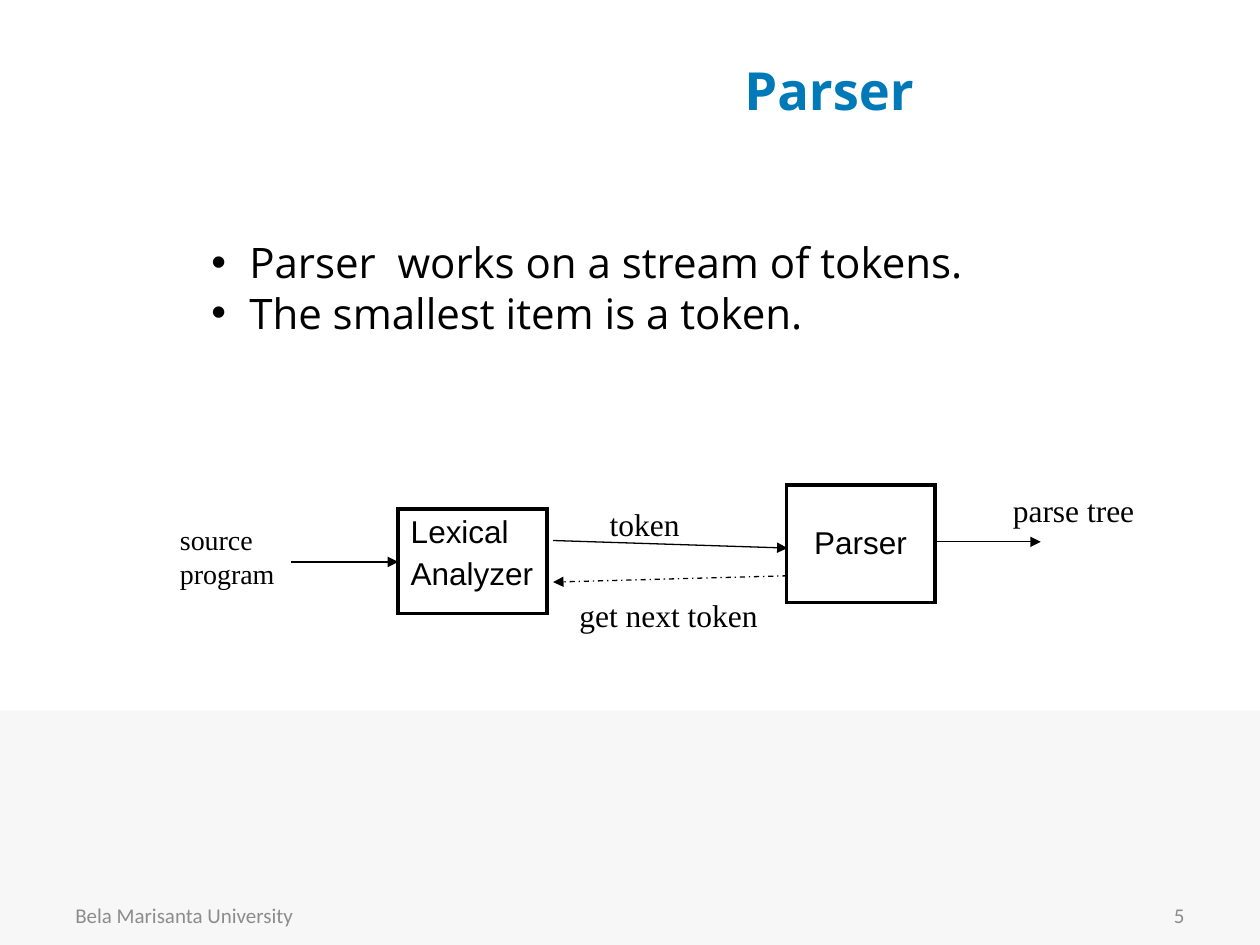
from pptx import Presentation
from pptx.dml.color import RGBColor
from pptx.enum.dml import MSO_LINE_DASH_STYLE as Dash
from pptx.enum.shapes import MSO_CONNECTOR as Connector, MSO_SHAPE as Shape
from pptx.enum.text import MSO_ANCHOR as Anchor, PP_ALIGN as Align
from pptx.oxml.ns import qn
from pptx.util import Inches, Pt
from lxml.etree import SubElement

BLACK = RGBColor(0, 0, 0)
BLUE = RGBColor(0x00, 0x79, 0xB8)
GRAY = RGBColor(0x8C, 0x8C, 0x8C)
PALE = RGBColor(0xF7, 0xF7, 0xF7)
SERIF = "Times New Roman"


def write_text(frame, text, font=SERIF, size=18, color=BLACK, bold=False,
               align=Align.LEFT, anchor=Anchor.TOP, before=0, bullet=None):
    """Fill a text frame with one formatted paragraph per line."""
    frame.vertical_anchor = anchor
    for index, line in enumerate(text.split("\n")):
        paragraph = frame.add_paragraph() if index else frame.paragraphs[0]
        paragraph.alignment = align
        paragraph.space_before = Pt(before)
        run = paragraph.add_run()
        run.text = line
        run.font.name, run.font.size, run.font.bold = font, Pt(size), bold
        run.font.color.rgb = color
        if bullet:
            properties = paragraph._p.get_or_add_pPr()
            properties.set("marL", str(Inches(0.3)))
            properties.set("indent", str(-Inches(0.3)))
            SubElement(properties, qn("a:buFont"), typeface="Arial")
            SubElement(properties, qn("a:buChar"), char=bullet)


def add_label(slide, text, left, top, width, height=0.4, wrap=False, **style):
    """Add a text box."""
    box = slide.shapes.add_textbox(*map(Inches, (left, top, width, height)))
    box.text_frame.word_wrap = wrap
    write_text(box.text_frame, text, **style)


def add_stage(slide, text, left, top, height, **style):
    """Add a bordered one-cell table for a compiler stage."""
    table = slide.shapes.add_table(
        1, 1, *map(Inches, (left, top, 1.18, height))).table
    table.first_row = table.horz_banding = False
    cell = table.cell(0, 0)
    write_text(cell.text_frame, text, font="Arial", **style)
    cell.vertical_anchor = style.get("anchor", Anchor.TOP)
    properties = cell._tc.get_or_add_tcPr()
    for side in ("lnL", "lnR", "lnT", "lnB"):
        border = SubElement(properties, qn(f"a:{side}"), w=str(Pt(2.25)))
        fill = SubElement(border, qn("a:solidFill"))
        SubElement(fill, qn("a:srgbClr"), val=str(BLACK))
    cell.fill.background()


def add_arrow(slide, start, end, dash=None):
    """Add a thin line with an arrowhead at its end."""
    arrow = slide.shapes.add_connector(
        Connector.STRAIGHT, *map(Inches, (*start, *end)))
    arrow.line.color.rgb = BLACK
    arrow.line.width = Pt(0.75)
    if dash:
        arrow.line.dash_style = dash
    SubElement(arrow.line._get_or_add_ln(), qn("a:tailEnd"), type="triangle")
    SubElement(arrow._element.spPr, qn("a:effectLst"))


def add_band(slide):
    """Add the pale band at the foot of the slide."""
    band = slide.shapes.add_shape(
        Shape.RECTANGLE, *map(Inches, (0, 5.64, 10, 1.86)))
    band.shadow.inherit = False
    band.fill.solid()
    band.fill.fore_color.rgb = PALE
    band.line.fill.background()


def add_title(slide, text):
    """Place and format the title."""
    title = slide.shapes.title
    title.left, title.top, title.width, title.height = map(
        Inches, (3.33, 0.17, 6.5, 1.08))
    write_text(title.text_frame, text, font="Open Sans", size=30, color=BLUE,
               bold=True, align=Align.CENTER, anchor=Anchor.MIDDLE)


def main():
    """Build the parser slide."""
    presentation = Presentation()
    presentation.slide_width, presentation.slide_height = Inches(10), Inches(7.5)
    slide = presentation.slides.add_slide(presentation.slide_layouts[5])
    add_band(slide)
    add_title(slide, "Parser")

    add_stage(slide, "Lexical\nAnalyzer", 3.16, 4.04, 0.83, before=3.6)
    add_stage(slide, "Parser", 6.24, 3.85, 0.93,
              align=Align.CENTER, anchor=Anchor.MIDDLE)

    add_arrow(slide, (2.31, 4.46), (3.16, 4.46))
    add_arrow(slide, (4.39, 4.29), (6.25, 4.35))
    add_arrow(slide, (6.25, 4.57), (4.39, 4.62), dash=Dash.DASH_DOT)
    add_arrow(slide, (7.42, 4.3), (8.26, 4.3))

    add_label(slide, "source\nprogram", 1.33, 4.1, 0.97, 0.64, size=16)
    add_label(slide, "token", 4.74, 3.96, 0.77)
    add_label(slide, "get next token", 4.5, 4.68, 1.63)
    add_label(slide, "parse tree", 7.94, 3.85, 1.18)
    add_label(slide, "Parser  works on a stream of tokens.\nThe smallest item is a token.",
              1.58, 1.83, 7.75, 0.91, wrap=True, font="Open Sans", size=24, bullet="•")

    footer = dict(font="Calibri", size=12, color=GRAY, anchor=Anchor.MIDDLE, wrap=True)
    add_label(slide, "Bela Marisanta University", 0.5, 7.06, 2.33, **footer)
    add_label(slide, "5", 7.17, 7.06, 2.33, align=Align.RIGHT, **footer)
    presentation.save("out.pptx")


if __name__ == "__main__":
    main()
